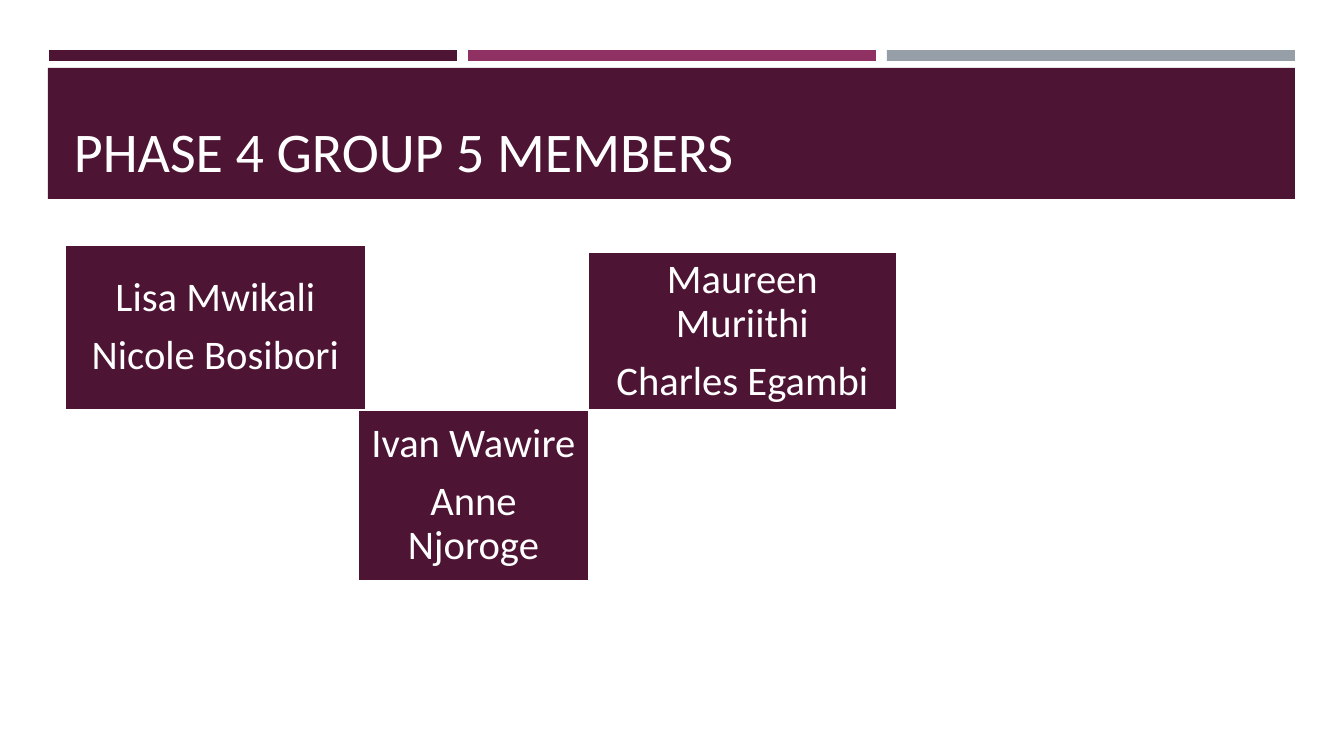
from pptx import Presentation
from pptx.dml.color import RGBColor
from pptx.enum.shapes import MSO_SHAPE
from pptx.enum.text import MSO_ANCHOR, PP_ALIGN
from pptx.util import Pt

RECTANGLE = MSO_SHAPE.RECTANGLE
MIDDLE, BOTTOM = MSO_ANCHOR.MIDDLE, MSO_ANCHOR.BOTTOM
LEFT, CENTER = PP_ALIGN.LEFT, PP_ALIGN.CENTER

PX_PER_INCH = 100.8
FONT = "Calibri"
PLUM, MAGENTA, GRAY, WHITE = "4D1434", "903163", "969FA7", "FFFFFF"

ACCENT_COLORS = [PLUM, MAGENTA, GRAY]
MEMBER_CARDS = [
    ((65, 245, 301, 165), ["Lisa Mwikali", "Nicole Bosibori"]),
    ((358, 410, 231, 171), ["Ivan Wawire", "Anne Njoroge"]),
    ((588, 252, 309, 158), ["Maureen Muriithi", "Charles Egambi"]),
]


def px(length):
    """Turn a length in px into EMU."""
    return round(length * 914400 / PX_PER_INCH)


def color(hex_value):
    """Turn a hex string into a colour."""
    return RGBColor.from_string(hex_value)


def add_block(slide, box, fill, outline=None):
    """Add a flat rectangle with an optional outline."""
    block = slide.shapes.add_shape(RECTANGLE, *map(px, box))
    block.shadow.inherit = False
    block.fill.solid()
    block.fill.fore_color.rgb = color(fill)
    if outline:
        block.line.color.rgb = color(outline)
        block.line.width = Pt(1.75)
    else:
        block.line.fill.background()
    return block


def write_lines(frame, lines, size, align, anchor, spacing=1.0, after=0):
    """Write one white paragraph per line into a text frame."""
    frame.word_wrap = True
    frame.vertical_anchor = anchor
    for index, line in enumerate(lines):
        paragraph = frame.paragraphs[0] if index == 0 else frame.add_paragraph()
        paragraph.alignment = align
        paragraph.line_spacing = spacing
        paragraph.space_after = Pt(after)
        run = paragraph.add_run()
        run.text = line
        run.font.name = FONT
        run.font.size = Pt(size)
        run.font.color.rgb = color(WHITE)


def add_accent_bars(slide):
    """Add the row of evenly spaced bars above the title."""
    for column, fill in enumerate(ACCENT_COLORS):
        add_block(slide, (49 + column * 419, 50, 408, 11), fill)


def add_title(slide, title):
    """Add the title band and its text."""
    add_block(slide, (48, 68, 1247, 131), PLUM)
    heading = slide.shapes.add_textbox(*map(px, (64, 78, 1216, 112)))
    write_lines(heading.text_frame, [title], 40, LEFT, BOTTOM, spacing=0.9)


def add_member_card(slide, box, names):
    """Add a card that lists group members."""
    frame = add_block(slide, box, PLUM, outline=WHITE).text_frame
    frame.margin_left = frame.margin_right = px(12)
    frame.margin_top = frame.margin_bottom = px(12)
    write_lines(frame, names, 29, CENTER, MIDDLE, spacing=0.9, after=10)


def main():
    """Build and save the slide."""
    presentation = Presentation()
    presentation.slide_width, presentation.slide_height = px(1344), px(756)
    slide = presentation.slides.add_slide(presentation.slide_layouts[6])
    add_accent_bars(slide)
    add_title(slide, "PHASE 4 GROUP 5 MEMBERS")
    for box, names in MEMBER_CARDS:
        add_member_card(slide, box, names)
    presentation.save("out.pptx")


if __name__ == "__main__":
    main()
